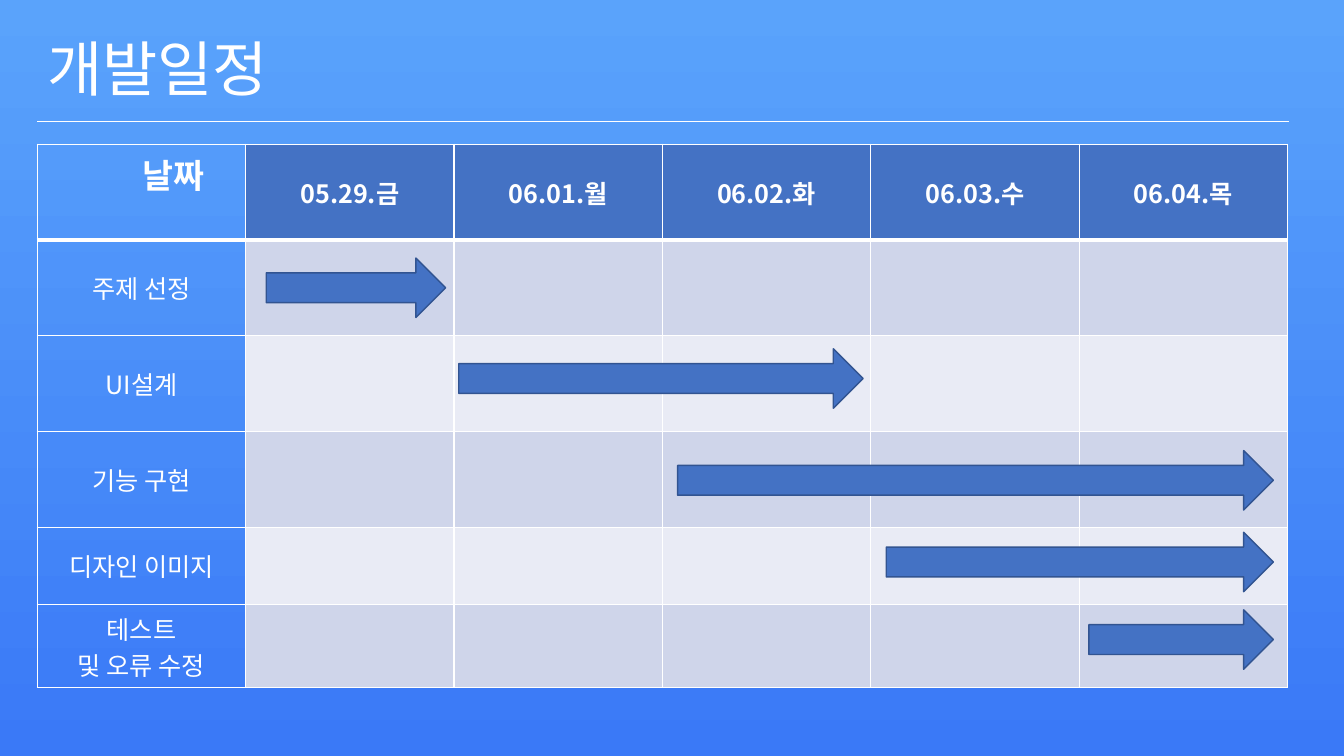
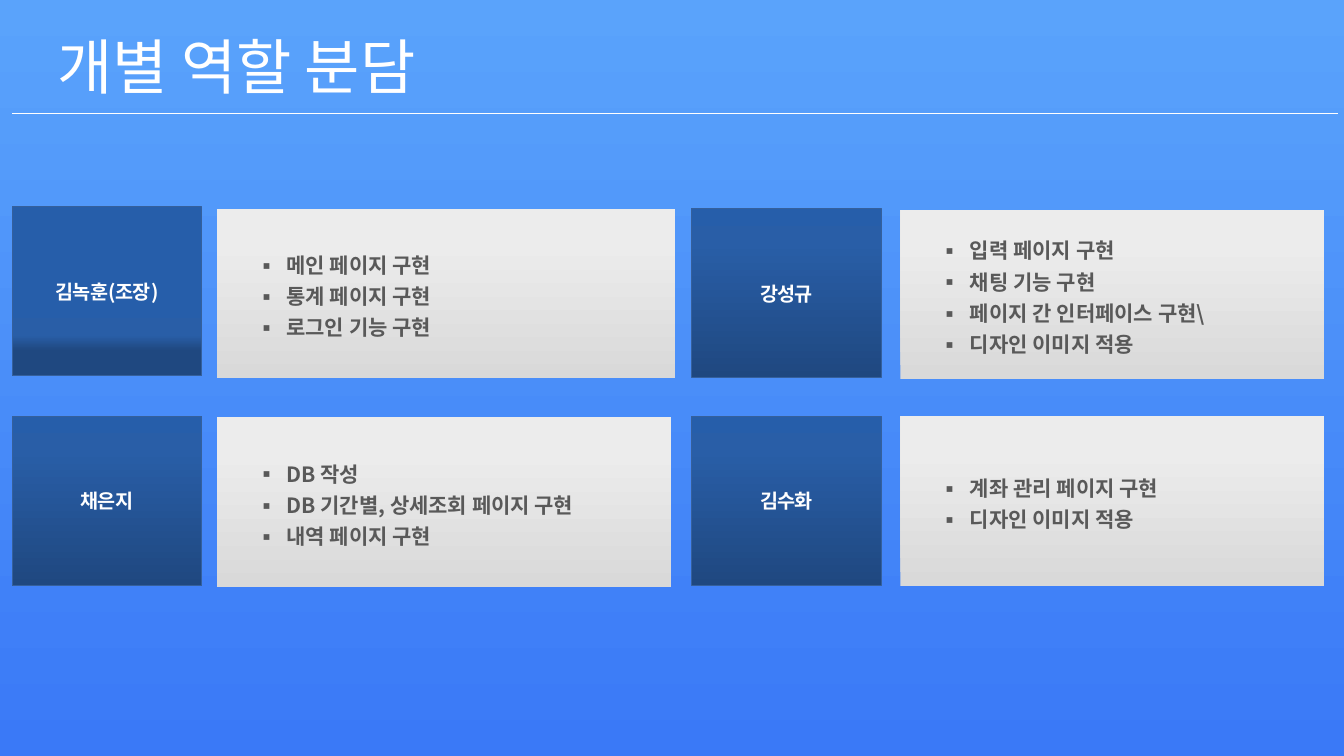
from copy import deepcopy
from dataclasses import dataclass

from pptx import Presentation
from pptx.dml.color import RGBColor
from pptx.enum import shapes, text
from pptx.oxml import parse_xml
from pptx.oxml.ns import nsdecls, qn
from pptx.oxml.xmlchemy import OxmlElement
from pptx.util import Inches, Pt


@dataclass(frozen=True)
class Theme:
    font: str = "Noto Sans CJK KR"
    white: str = "FFFFFF"
    blue: str = "4472C4"
    edge: str = "325491"
    rim: str = "35609C"
    gray: str = "595959"
    bands: tuple = ("CFD5EA", "E9EBF5")
    sky: tuple = ((0, "5AA3FB"), (100, "3A79F7"))
    navy: tuple = ((0, "1F4880"), (80, "295EA7"), (100, "265EAA"))
    lead: tuple = ((15, "1F4880"), (24, "295EA7"), (45, "265EAA"))
    card: tuple = ((0, "D9D9D9"), (80, "ECECEC"))
    title: float = 42.9
    corner: int = 24
    cell: int = 18
    item: int = 15
    name: int = 14


look = Theme()
rgb = RGBColor.from_string


def style(frame, size, color, bold=False, align=text.PP_ALIGN.LEFT, gap=1.0):
    for par in frame.paragraphs:
        par.alignment = align
        par.line_spacing = gap
        par.space_before = Pt(0)
        for run in par.runs:
            run.font.name = look.font
            run.font.size = Pt(size)
            run.font.bold = bold
            run.font.color.rgb = rgb(color)
            east = OxmlElement("a:ea")
            east.set("typeface", look.font)
            run.font._element.find(qn("a:latin")).addnext(east)


def shade(fill, root, stops, angle):
    fill.gradient()
    marks = next(root.iter(qn("a:gsLst")))
    while len(marks) < len(stops):
        marks.append(deepcopy(marks[0]))
    for stop, (place, color) in zip(fill.gradient_stops, stops):
        stop.position = place / 100
        stop.color.rgb = rgb(color)
    fill.gradient_angle = angle


deck = Presentation()
deck.slide_width, deck.slide_height = Inches(13.33), Inches(7.5)
base = deck.slide_master
shade(base.background.fill, base.element, look.sky, 270)

heads = [
    (5, "개발일정", (0.37, 0.21, 3.24, 1), (0.37, 12.78, 1.2)),
    (4, "개별 역할 분담", (0.47, 0.23, 4.43, 0.93), (0.12, 13.27, 1.12)),
]
for kind, words, box, (start, end, y) in heads:
    slide = deck.slides.add_slide(deck.slide_layouts[kind])
    title = slide.shapes.title
    title.left, title.top, title.width, title.height = map(Inches, box)
    frame = title.text_frame
    frame.text = words
    frame.auto_size = text.MSO_AUTO_SIZE.NONE
    frame.vertical_anchor = text.MSO_ANCHOR.MIDDLE
    style(frame, look.title, look.white, gap=0.9)
    rule = slide.shapes.add_connector(
        shapes.MSO_CONNECTOR.STRAIGHT, Inches(start), Inches(y), Inches(end), Inches(y))
    rule.line.color.rgb = rgb(look.white)
    rule.line.width = Pt(0.5)
    rule._element.spPr.append(OxmlElement("a:effectLst"))

plan, team = deck.slides

rows = [
    ["날짜", "05.29.금", "06.01.월", "06.02.화", "06.03.수", "06.04.목"],
    ["주제 선정"], ["UI설계"], ["기능 구현"], ["디자인 이미지"],
    ["테스트\n및 오류 수정"],
]
tall = [0.95] * 4 + [0.77, 0.74]
wide = 12.4 / 6
grid = plan.shapes.add_table(
    6, 6, Inches(0.37), Inches(1.43), Inches(12.4), Inches(sum(tall))).table
for col in grid.columns:
    col.width = Inches(wide)
for r, words in enumerate(rows):
    grid.rows[r].height = Inches(tall[r])
    for c in range(6):
        cell = grid.cell(r, c)
        cell.vertical_anchor = text.MSO_ANCHOR.MIDDLE
        if c < len(words):
            cell.text = words[c]
            style(cell.text_frame, look.cell, look.white, r == 0, text.PP_ALIGN.CENTER)
        if c == 0:
            cell.fill.background()
        else:
            cell.fill.solid()
            cell.fill.fore_color.rgb = rgb(look.blue if r == 0 else look.bands[(r - 1) % 2])
        for n, side in enumerate("LRTB"):
            thick = 3 if (r, side) in [(0, "B"), (1, "T")] else 1
            cell._tc.get_or_add_tcPr().insert(n, parse_xml(
                f'<a:ln{side} {nsdecls("a")} w="{Pt(thick)}"><a:solidFill>'
                f'<a:srgbClr val="{look.white}"/></a:solidFill></a:ln{side}>'))
day = grid.cell(0, 0)
day.vertical_anchor = text.MSO_ANCHOR.TOP
day.margin_left = Inches(0.74)
day.text_frame.paragraphs[0].runs[0].font.size = Pt(look.corner)

spans = [(2.64, 2.56, 1.78), (4.55, 3.46, 4.01), (6.72, 4.47, 5.91),
         (8.79, 5.28, 3.84), (10.8, 6.05, 1.83)]
for x, y, w in spans:
    arrow = plan.shapes.add_shape(
        shapes.MSO_SHAPE.RIGHT_ARROW, Inches(x), Inches(y), Inches(w), Inches(0.59))
    arrow.shadow.inherit = False
    arrow.fill.solid()
    arrow.fill.fore_color.rgb = rgb(look.blue)
    arrow.line.color.rgb = rgb(look.edge)
    arrow.line.width = Pt(1)

roles = [
    ("김녹훈(조장)", look.lead, 0.12, 2.05, 2.15, 2.07, 4.55,
     ["메인 페이지 구현", "통계 페이지 구현", "로그인 기능 구현"]),
    ("강성규", look.navy, 6.86, 2.07, 8.93, 2.08, 4.2,
     ["입력 페이지 구현", "채팅 기능 구현", "페이지 간 인터페이스 구현\\", "디자인 이미지 적용"]),
    ("채은지", look.navy, 0.12, 4.13, 2.15, 4.14, 4.51,
     ["DB 작성", "DB 기간별, 상세조회 페이지 구현", "내역 페이지 구현"]),
    ("김수화", look.navy, 6.86, 4.13, 8.93, 4.13, 4.2,
     ["계좌 관리 페이지 구현", "디자인 이미지 적용"]),
]
high = Inches(1.68)
cards = list(team.placeholders)[1:]
for card, (name, tint, x, y, left, top, w, tasks) in zip(cards, roles):
    tag = team.shapes.add_shape(
        shapes.MSO_SHAPE.RECTANGLE, Inches(x), Inches(y), Inches(1.88), high)
    tag.shadow.inherit = False
    shade(tag.fill, tag._element, tint, 90)
    tag.line.color.rgb = rgb(look.rim)
    tag.line.width = Pt(0.75)
    tag.text_frame.text = name
    tag.text_frame.vertical_anchor = text.MSO_ANCHOR.MIDDLE
    style(tag.text_frame, look.name, look.white, True, text.PP_ALIGN.CENTER)
    tag.text_frame.paragraphs[0].runs[0].font._element.set("spc", "-50")

    card.left, card.top, card.width, card.height = Inches(left), Inches(top), Inches(w), high
    shade(card.fill, card._element, look.card, 90)
    frame = card.text_frame
    frame.text = "\n".join(tasks)
    frame.auto_size = text.MSO_AUTO_SIZE.NONE
    frame.vertical_anchor = text.MSO_ANCHOR.MIDDLE
    style(frame, look.item, look.gray, True, gap=1.24)
    for par in frame.paragraphs:
        props = par._p.get_or_add_pPr()
        props.set("marL", str(Inches(0.59)))
        props.set("indent", str(Inches(-0.3)))
        for mark in (f'<a:buClr {nsdecls("a")}><a:srgbClr val="{look.gray}"/></a:buClr>',
                     f'<a:buFont {nsdecls("a")} typeface="{look.font}"/>',
                     f'<a:buChar {nsdecls("a")} char="▪"/>'):
            props.append(parse_xml(mark))

deck.save("out.pptx")
